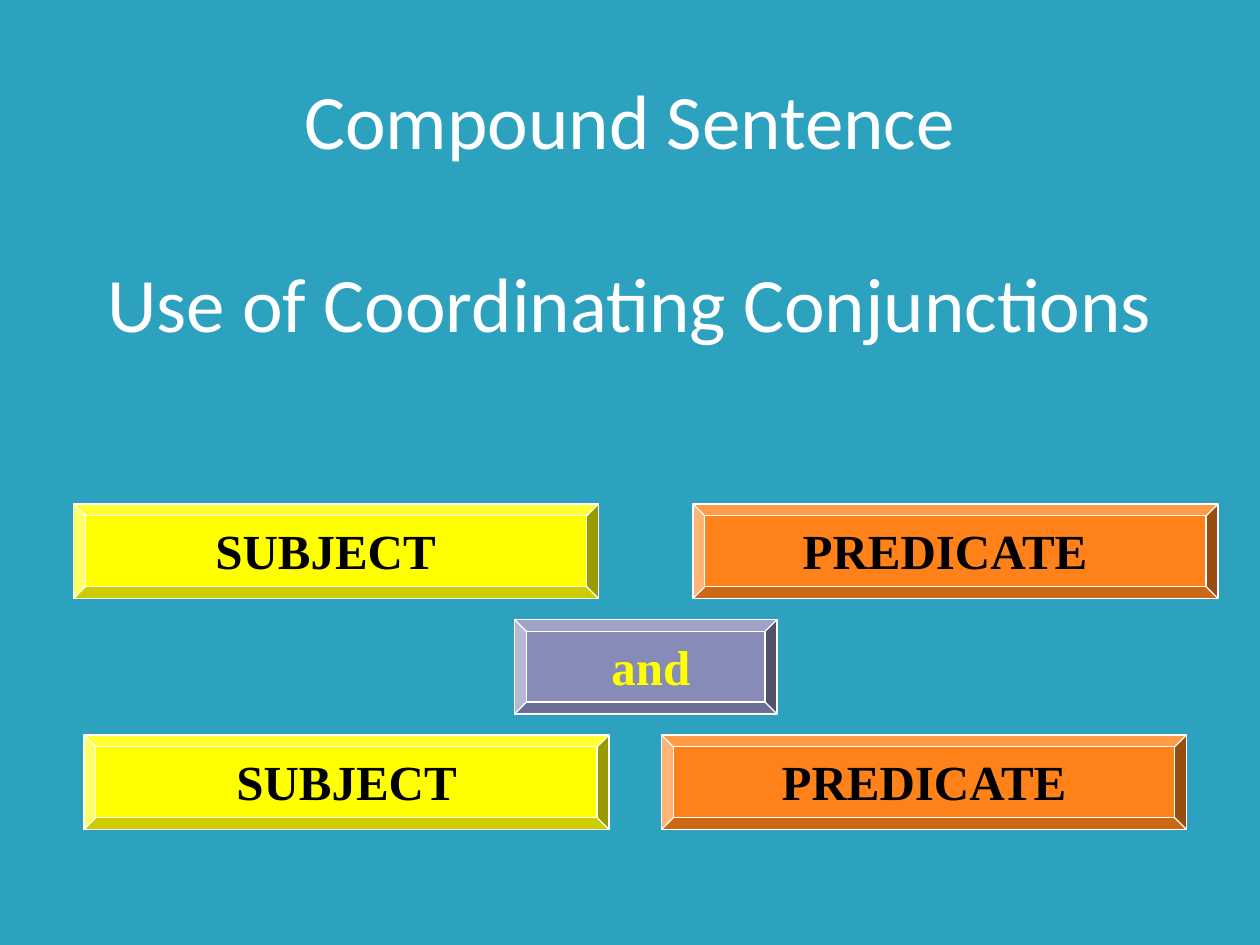
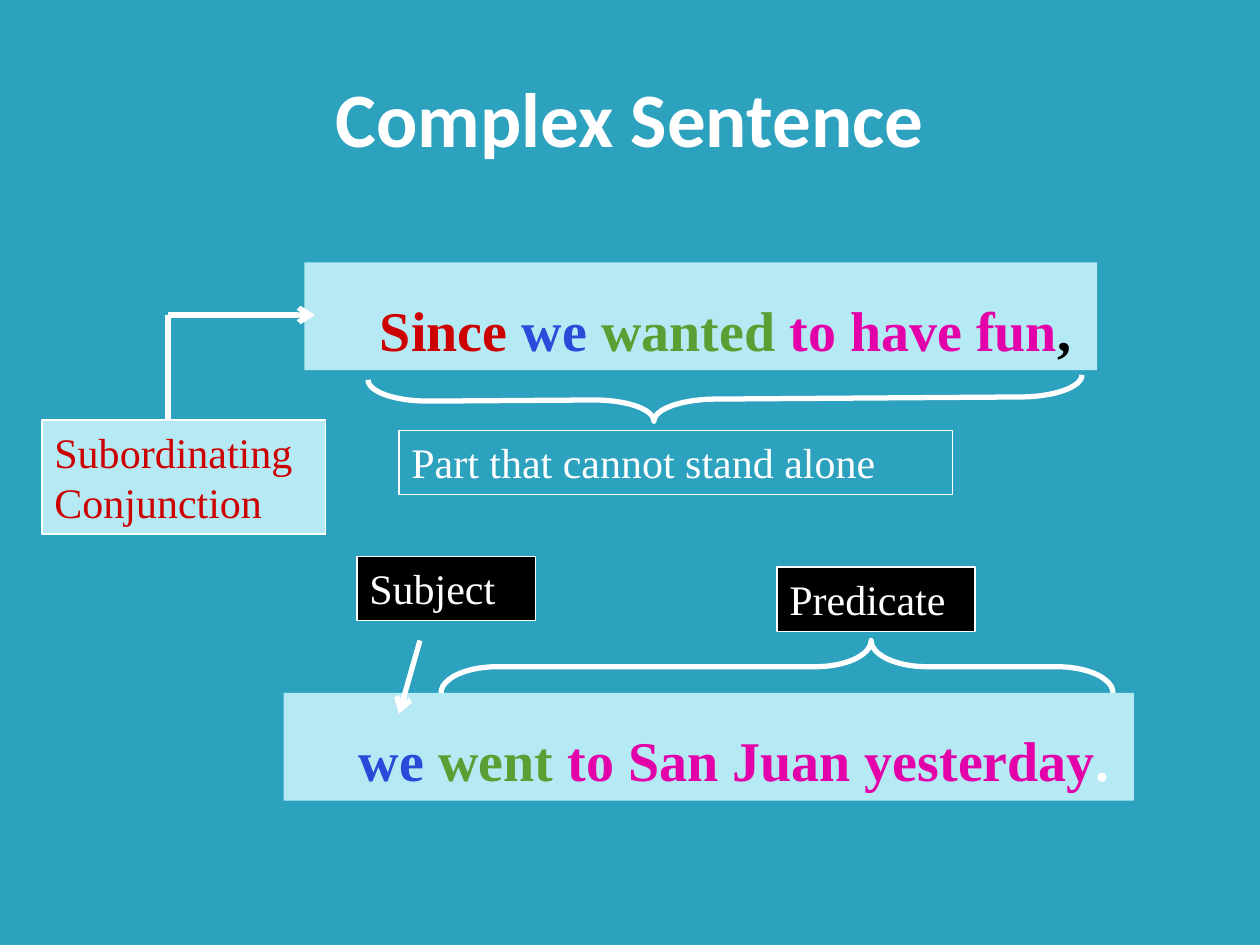
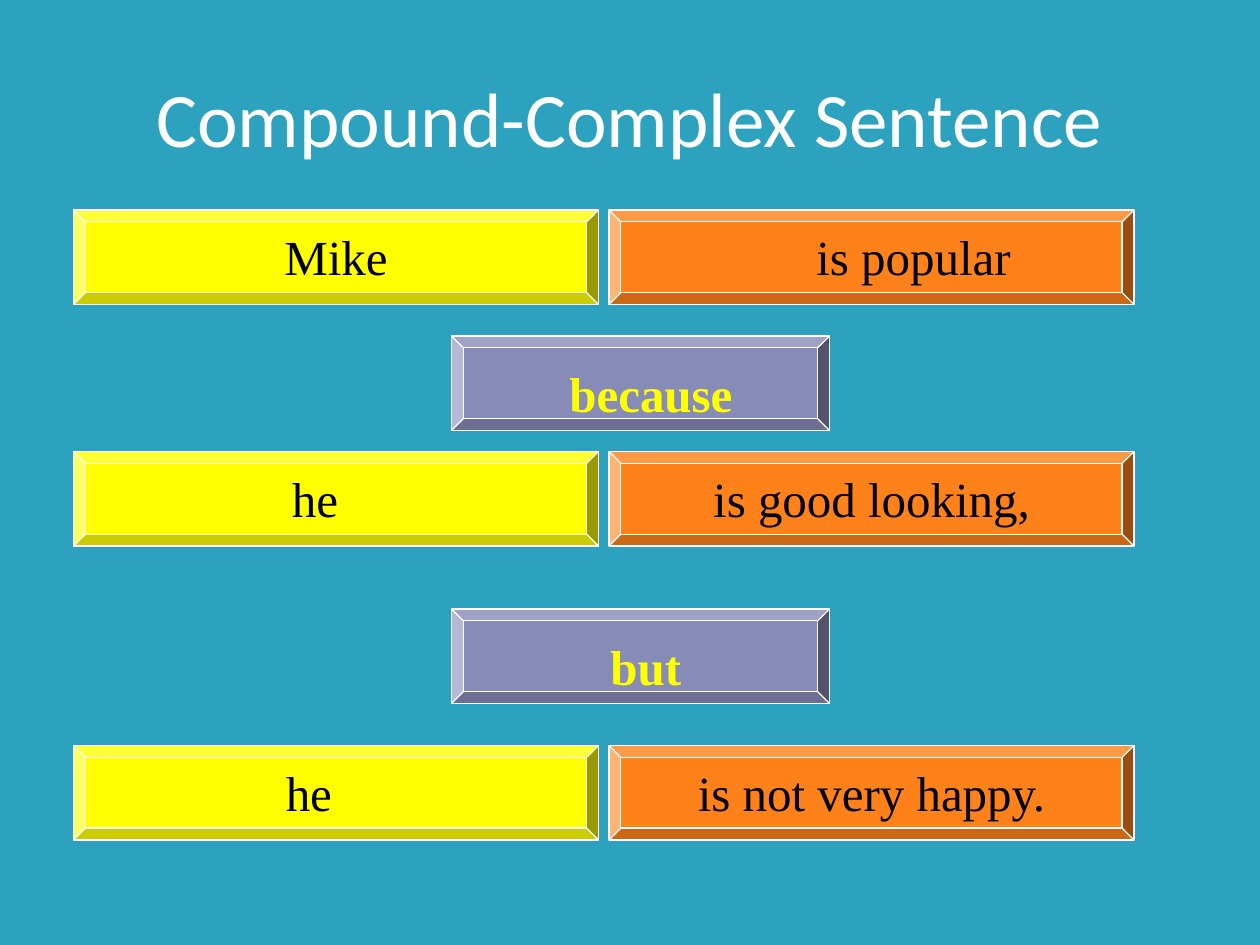
from lxml import etree
from pptx import Presentation
from pptx import util as u
from pptx.dml.color import RGBColor
from pptx.enum import shapes, text
from pptx.oxml.ns import qn

PX = 9525
COLOURS = {
    "background": "2DA2BF",
    "white": "FFFFFF",
    "black": "000000",
    "subject": "FFFF00",
    "predicate": "FF8119",
    "link": "878BB8",
    "panel": "B5E9F4",
    "conjunction": "CC0000",
    "noun": "294BD9",
    "verb": "58A034",
    "rest": "E400A8",
}
TITLE_FONT = "Calibri"
BODY_FONT = "Times New Roman"


def colour(key):
    return RGBColor.from_string(COLOURS[key])


def lengths(*values):
    return [u.Emu(value * PX) for value in values]


class Deck:
    def __init__(self):
        self.prs = Presentation()
        self.prs.slide_width, self.prs.slide_height = lengths(960, 720)
        backdrop = self.prs.slide_master.background.fill
        backdrop.solid()
        backdrop.fore_color.rgb = colour("background")
        self.slide = None

    def font(self, paragraph, size, key=None, bold=False, name=BODY_FONT):
        paragraph.font.name = name
        paragraph.font.size = u.Pt(size)
        paragraph.font.bold = bold
        if key:
            paragraph.font.color.rgb = colour(key)

    def paint(self, shape, fill=None, line=None, width=0.75):
        if fill:
            shape.fill.solid()
            shape.fill.fore_color.rgb = colour(fill)
        else:
            shape.fill.background()
        if line:
            shape.line.color.rgb = colour(line)
            shape.line.width = u.Pt(width)
        else:
            shape.line.fill.background()

    def titled(self, lines, box=(48, 29, 864, 120), bold=False):
        self.slide = self.prs.slides.add_slide(self.prs.slide_layouts[5])
        title = self.slide.shapes.title
        title.left, title.top, title.width, title.height = lengths(*box)
        frame = title.text_frame
        frame.auto_size = text.MSO_AUTO_SIZE.NONE
        frame.vertical_anchor = text.MSO_ANCHOR.MIDDLE
        frame.text = "\n".join(lines)
        for paragraph in frame.paragraphs:
            paragraph.alignment = text.PP_ALIGN.CENTER
            self.font(paragraph, 44, "white", bold, TITLE_FONT)
        for paragraph in frame.paragraphs[1:]:
            paragraph.space_before = u.Pt(52)

    def box(self, left, top, width, height, fill=None, line=None):
        panel = self.slide.shapes.add_textbox(*lengths(left, top, width, height))
        self.paint(panel, fill, line)
        panel.text_frame.word_wrap = True
        return panel.text_frame

    def tile(self, role, left, top, width=400):
        bevel = self.slide.shapes.add_shape(
            shapes.MSO_SHAPE.BEVEL, *lengths(left, top, width, 72))
        bevel.shadow.inherit = False
        self.paint(bevel, role, "white")

    def label(self, words, left, top, width=352, key="black", bold=False):
        paragraph = self.box(left, top, width, 55).paragraphs[0]
        paragraph.text = words
        paragraph.alignment = text.PP_ALIGN.CENTER
        self.font(paragraph, 28, key, bold)

    def clause(self, top, subject, predicate, bold=False):
        for role, (words, tile_left, label_left) in (("subject", subject), ("predicate", predicate)):
            self.tile(role, tile_left, top)
            self.label(words, label_left, top + 8, bold=bold)

    def note(self, words, left, top, width, height=49, key="white", fill=None):
        frame = self.box(left, top, width, height, fill, "white")
        frame.text = words
        for paragraph in frame.paragraphs:
            self.font(paragraph, 24, key)

    def sentence(self, parts, left, top, width):
        paragraph = self.box(left, top, width, 82, "panel").paragraphs[0]
        paragraph.level = 1
        paragraph.line_spacing = 1.4
        properties = paragraph._p.get_or_add_pPr()
        properties.set("marL", str(48 * PX))
        properties.set("indent", "0")
        self.font(paragraph, 32, bold=True)
        for words, key in parts:
            run = paragraph.add_run()
            run.text = words
            run.font.color.rgb = colour(key)

    def brace(self, left, top, width, height, rotation, curl, point):
        brace = self.slide.shapes.add_shape(
            shapes.MSO_SHAPE.LEFT_BRACE, *lengths(left, top, width, height))
        brace.shadow.inherit = False
        brace.rotation = rotation
        brace.adjustments[0] = curl
        brace.adjustments[1] = point
        self.paint(brace, line="white", width=3)

    def pointer(self, start, end, arrow=True):
        line = self.slide.shapes.add_connector(
            shapes.MSO_CONNECTOR.STRAIGHT, *lengths(*start, *end))
        line.line.color.rgb = colour("white")
        line.line.width = u.Pt(3)
        if arrow:
            etree.SubElement(line.line._get_or_add_ln(), qn("a:tailEnd"), type="arrow")
        etree.SubElement(line._element.spPr, qn("a:effectLst"))


def compound(deck):
    deck.titled(["Compound Sentence", "Use of Coordinating Conjunctions"], (32, 24, 896, 272))
    deck.clause(384, ("SUBJECT", 56, 72), ("PREDICATE", 528, 544), bold=True)
    deck.clause(560, ("SUBJECT", 64, 88), ("PREDICATE", 504, 528), bold=True)
    deck.tile("link", 392, 472, 200)
    deck.label("and", 424, 480, 144, "subject", True)


def complex_sentence(deck):
    deck.titled(["Complex Sentence"], bold=True)
    deck.sentence([("Since ", "conjunction"), ("we ", "noun"), ("wanted ", "verb"),
                   ("to have fun", "rest"), (",", "black")], 232, 200, 604)
    deck.sentence([("we ", "noun"), ("went ", "verb"),
                   ("to San Juan yesterday", "rest"), (".", "white")], 216, 528, 648)
    deck.note("Predicate", 592, 432, 151, fill="black")
    deck.note("Subject", 272, 424, 136, fill="black")
    deck.note("Subordinating\nConjunction", 32, 320, 216, 87, "conjunction", "panel")
    deck.note("Part that cannot stand alone", 304, 328, 422)
    deck.brace(572, 252, 40, 512, 90, 1.07, 0.36)
    deck.brace(536, 32, 33, 544, 269.6, 1.41, 0.4)
    deck.pointer((320, 488), (304, 544))
    deck.pointer((128, 240), (128, 320), arrow=False)
    deck.pointer((128, 240), (240, 240))


def compound_complex(deck):
    deck.titled(["Compound-Complex Sentence"])
    clauses = [
        (160, "Mike", 80, "is popular", 520),
        (344, "he", 64, "is good looking,", 488),
        (568, "he ", 64, "is not very happy.", 488),
    ]
    for top, subject, subject_left, predicate, predicate_left in clauses:
        deck.clause(top, (subject, 56, subject_left), (predicate, 464, predicate_left))
    for word, top, left, width in (("because", 256, 400, 192), ("but", 464, 424, 136)):
        deck.tile("link", 344, top, 288)
        deck.label(word, left, top + 16, width, "subject", True)


def main():
    deck = Deck()
    compound(deck)
    complex_sentence(deck)
    compound_complex(deck)
    deck.prs.save("out.pptx")


if __name__ == "__main__":
    main()
